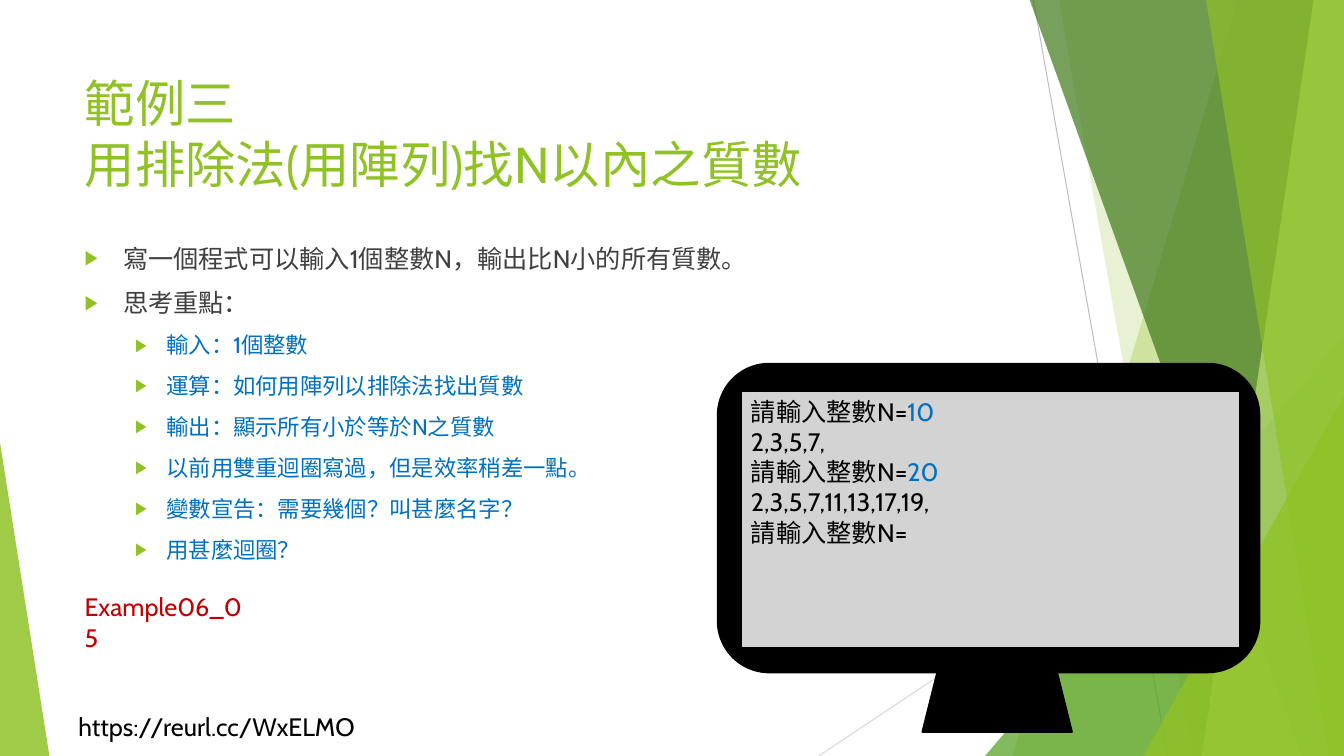
from lxml.etree import SubElement
from pptx import Presentation
from pptx.dml.color import RGBColor
from pptx.enum.shapes import MSO_CONNECTOR as CONNECTOR, MSO_SHAPE as SHAPE
from pptx.enum.text import MSO_ANCHOR as ANCHOR, MSO_AUTO_SIZE as AUTO_SIZE, PP_ALIGN as ALIGN
from pptx.oxml.ns import qn
from pptx.util import Pt

PX = 9144
WIDTH, HEIGHT = 1333, 750
FONT = "Cabin"
GREEN, BLUE, BLACK, GREY, RED = "90C226", "0070C0", "000000", "404040", "C00000"

TITLE = "範例三\v用排除法(用陣列)找N以內之質數"
TASKS = ["寫一個程式可以輸入1個整數N，輸出比N小的所有質數。", "思考重點："]
HINTS = [
    "輸入：1個整數",
    "運算：如何用陣列以排除法找出質數",
    "輸出：顯示所有小於等於N之質數",
    "以前用雙重迴圈寫過，但是效率稍差一點。",
    "變數宣告：需要幾個？叫甚麼名字？",
    "用甚麼迴圈？",
]
PROMPT = "請輸入整數N="
SCREEN_LINES = [
    [(PROMPT, BLACK), ("10", BLUE)],
    [("2,3,5,7,", BLACK)],
    [(PROMPT, BLACK), ("20", BLUE)],
    [("2,3,5,7,11,13,17,19,", BLACK)],
    [(PROMPT, BLACK)],
]
LABELS = [
    ("https://reurl.cc/WxELMO", BLACK, (68, 701, 312, 40)),
    ("Example06_05", RED, (74, 582, 183, 40)),
]

RAYS = [((1025, 0), (1158, 750), "BFBFBF"), ((1333, 403), (812, 750), "D9D9D9")]
FACETS = [
    ("band", (1228, 1004), GREEN, 30),
    ("band", (1050, 1183), GREEN, 20),
    ("triangle", (977, 333, 356, 417, 1), "54A021", 72),
    ("band", (1021, 1291), "3F7819", 70),
    ("band", (1303, 1192), "C0E474", 70),
    ("band", (1196, 1318), GREEN, 65),
    ("triangle", (1134, 393, 199, 357, 1), GREEN, 80),
    ("triangle", (0, 439, 49, 311, 0), GREEN, 85),
]
MONITOR = [
    (SHAPE.ROUNDED_RECTANGLE, (712, 361, 537, 306), BLACK),
    (SHAPE.RECTANGLE, (735, 388, 495, 255), "D3D3D3"),
    (SHAPE.TRAPEZOID, (915, 667, 148, 59), BLACK),
]
BULLET_STYLES = {0: (18, GREY, 38, 38), 1: (16, BLUE, 81, 31)}


def rgb(value):
    return RGBColor.from_string(value)


def emu(lengths):
    return [length * PX for length in lengths]


def apply(target, formats):
    for key, value in formats.items():
        setattr(target, key, value)


def style(font, size, color):
    apply(font, {"name": FONT, "size": Pt(size)})
    font.color.rgb = rgb(color)


def paint(shape, color, alpha=100):
    shape.shadow.inherit = False
    shape.fill.solid()
    shape.fill.fore_color.rgb = rgb(color)
    if alpha < 100:
        tint = shape.fill._xPr.find(qn("a:solidFill"))[0]
        SubElement(tint, qn("a:alpha"), val=str(alpha * 1000))


def place(shape, box):
    apply(shape, dict(zip(("left", "top", "width", "height"), emu(box))))
    apply(shape.text_frame, {
        "word_wrap": True,
        "auto_size": AUTO_SIZE.NONE,
        "vertical_anchor": ANCHOR.TOP,
    })


def add_bullet(paragraph, margin, hang):
    props = paragraph._p.get_or_add_pPr()
    props.set("marL", str(margin * PX))
    props.set("indent", str(-hang * PX))
    SubElement(SubElement(props, qn("a:buClr")), qn("a:srgbClr"), val=GREEN)
    SubElement(props, qn("a:buSzPct"), val="80000")
    SubElement(props, qn("a:buChar"), char="▶")


def draw_background(shapes):
    for start, end, color in RAYS:
        ray = shapes.add_connector(CONNECTOR.STRAIGHT, *emu(start + end))
        ray.line.color.rgb = rgb(color)
        ray.line.width = Pt(0.75)
        SubElement(ray._element.spPr, qn("a:effectLst"))
    for kind, geometry, color, alpha in FACETS:
        if kind == "band":
            top_x, bottom_x = geometry
            outline = shapes.build_freeform(top_x, -1, scale=PX)
            outline.add_line_segments([(WIDTH, -1), (WIDTH, HEIGHT), (bottom_x, HEIGHT)])
            facet = outline.convert_to_shape()
        else:
            *box, apex = geometry
            facet = shapes.add_shape(SHAPE.ISOSCELES_TRIANGLE, *emu(box))
            facet.adjustments[0] = apex
        paint(facet, color, alpha)
        facet.line.fill.background()


def fill_placeholders(title, body):
    place(title, (74, 67, 940, 144))
    title.text_frame.text = TITLE
    heading = title.text_frame.paragraphs[0]
    heading.alignment = ALIGN.LEFT
    style(heading.runs[0].font, 36, GREEN)
    style(heading.runs[1].font, 36, GREEN)

    place(body, (74, 236, 940, 424))
    entries = [(0, task) for task in TASKS] + [(1, hint) for hint in HINTS]
    body.text_frame.text = "\n".join(words for _, words in entries)
    for index, (level, _) in enumerate(entries):
        paragraph = body.text_frame.paragraphs[index]
        size, color, margin, hang = BULLET_STYLES[level]
        add_bullet(paragraph, margin, hang)
        apply(paragraph, {"level": level, "space_before": Pt(10 if index else 0)})
        style(paragraph.runs[0].font, size, color)


def draw_monitor(shapes):
    frame, screen, stand = [shapes.add_shape(kind, *emu(box)) for kind, box, _ in MONITOR]
    for part, (_, box, color) in zip((frame, screen, stand), MONITOR):
        paint(part, color)
        part.line.color.rgb = rgb(BLACK)
        part.line.width = Pt(1.5)
    place(screen, MONITOR[1][1])
    screen.text_frame.text = "\n" * (len(SCREEN_LINES) - 1)
    for paragraph, pieces in zip(screen.text_frame.paragraphs, SCREEN_LINES):
        paragraph.alignment = ALIGN.LEFT
        for words, color in pieces:
            run = paragraph.add_run()
            run.text = words
            style(run.font, 18, color)


def main():
    deck = Presentation()
    apply(deck, {"slide_width": WIDTH * PX, "slide_height": HEIGHT * PX})
    slide = deck.slides.add_slide(deck.slide_layouts[1])
    draw_background(slide.shapes)
    fill_placeholders(*slide.placeholders)
    draw_monitor(slide.shapes)
    for words, color, box in LABELS:
        label = slide.shapes.add_textbox(*emu(box))
        place(label, box)
        label.text_frame.text = words
        style(label.text_frame.paragraphs[0].runs[0].font, 18, color)
    deck.save("out.pptx")


if __name__ == "__main__":
    main()
